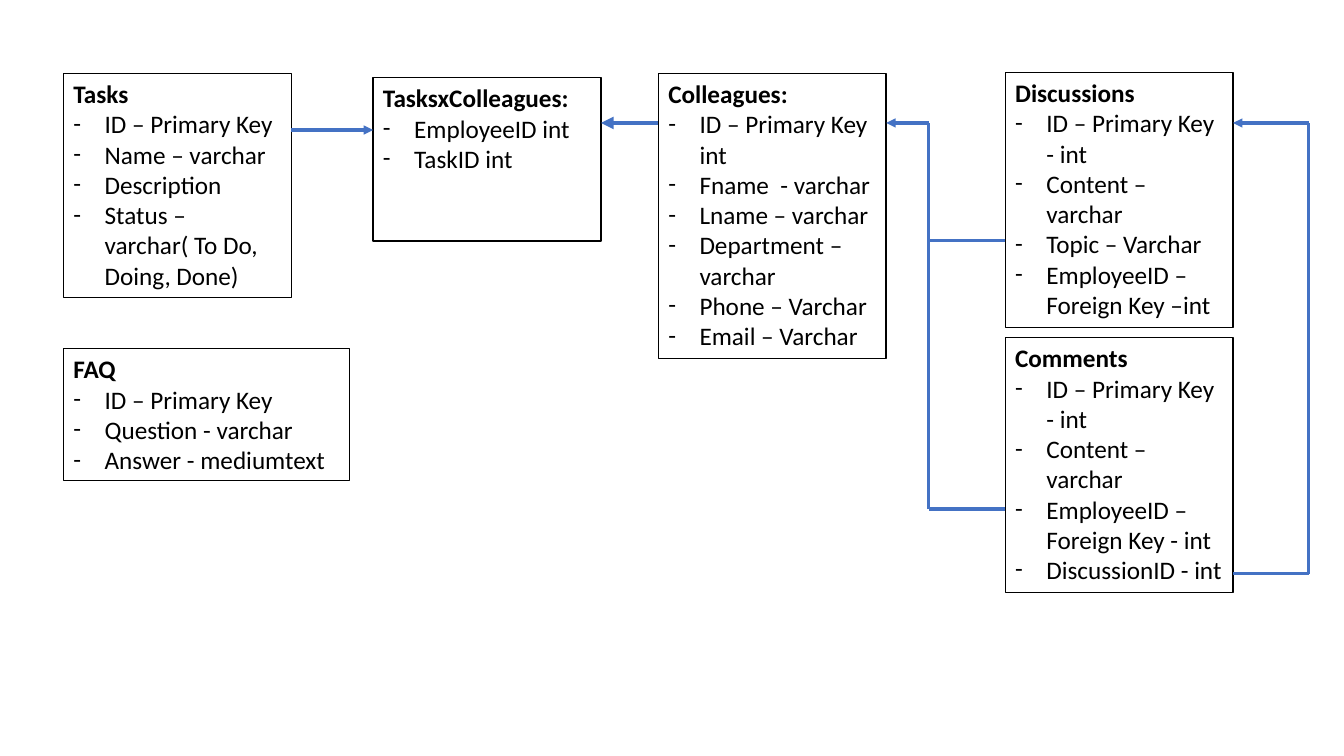
"""Build a slide with a database schema: table boxes joined by reference arrows."""
from itertools import pairwise

from lxml.etree import SubElement
from pptx import Presentation
from pptx.dml.color import RGBColor
from pptx.enum.shapes import MSO_CONNECTOR, MSO_SHAPE
from pptx.enum.text import MSO_ANCHOR, PP_ALIGN
from pptx.oxml.ns import qn
from pptx.util import Inches, Pt

BLACK, WHITE, BLUE = "000000", "FFFFFF", "4472C4"
FONT, TEXT_SIZE, INDENT = "Calibri", 18, 0.31
BOX_WIDTH = 2.26
TASKS, LINK, COLLEAGUES, DISCUSSIONS = 0.63, 3.7, 6.53, 9.97
TRUNK, OUTER = 9.21, 12.98
KEY_ROW, BRANCH_ROW = 1.22, 2.39

TABLES = [
    ("Tasks", (TASKS, 0.73, BOX_WIDTH, 2.22),
     ["ID – Primary Key", "Name – varchar", "Description",
      "Status – varchar( To Do, Doing, Done)"]),
    ("Colleagues:", (COLLEAGUES, 0.73, BOX_WIDTH, 2.83),
     ["ID – Primary Key int", "Fname  - varchar", "Lname – varchar",
      "Department – varchar", "Phone – Varchar", "Email – Varchar"]),
    ("TasksxColleagues:", (LINK, 0.77, BOX_WIDTH, 1.62),
     ["EmployeeID int", "TaskID int"]),
    ("Discussions", (DISCUSSIONS, 0.72, BOX_WIDTH, 2.53),
     ["ID – Primary Key - int", "Content – varchar", "Topic – Varchar",
      "EmployeeID – Foreign Key –int"]),
    ("Comments", (DISCUSSIONS, 3.35, BOX_WIDTH, 2.53),
     ["ID – Primary Key - int", "Content – varchar",
      "EmployeeID – Foreign Key - int", "DiscussionID - int"]),
    ("FAQ", (TASKS, 3.46, 2.84, 1.31),
     ["ID – Primary Key", "Question - varchar", "Answer - mediumtext"]),
]

ROUTES = [
    (3, True, [(COLLEAGUES, KEY_ROW), (LINK + BOX_WIDTH, KEY_ROW)]),
    (2.25, True, [(TASKS + BOX_WIDTH, 1.29), (LINK, 1.29)]),
    (2.25, True, [(DISCUSSIONS, BRANCH_ROW), (TRUNK, BRANCH_ROW),
                  (TRUNK, KEY_ROW), (COLLEAGUES + BOX_WIDTH, KEY_ROW)]),
    (2.25, False, [(DISCUSSIONS, 5.05), (TRUNK, 5.05), (TRUNK, BRANCH_ROW)]),
    (2.25, True, [(DISCUSSIONS + BOX_WIDTH, 5.69), (OUTER, 5.69),
                  (OUTER, KEY_ROW), (DISCUSSIONS + BOX_WIDTH, KEY_ROW)]),
]


def color(value):
    return RGBColor.from_string(value)


def add_dash(para):
    properties = para._p.get_or_add_pPr()
    properties.set("marL", str(Inches(INDENT)))
    properties.set("indent", str(-Inches(INDENT)))
    SubElement(properties, qn("a:buFont"), typeface=FONT)
    SubElement(properties, qn("a:buChar"), char="-")


def add_table_box(slide, name, place, fields):
    box = slide.shapes.add_shape(MSO_SHAPE.RECTANGLE, *map(Inches, place))
    box.shadow.inherit = False
    box.fill.solid()
    box.fill.fore_color.rgb = color(WHITE)
    box.line.color.rgb = color(BLACK)
    box.line.width = Pt(1)
    frame = box.text_frame
    frame.word_wrap = True
    frame.vertical_anchor = MSO_ANCHOR.TOP
    frame.text = "\n".join([name, *fields])
    for index, para in enumerate(frame.paragraphs):
        para.alignment = PP_ALIGN.LEFT
        if index:
            add_dash(para)
        for span in para.runs:
            span.font.name = FONT
            span.font.size = Pt(TEXT_SIZE)
            span.font.bold = index == 0
            span.font.color.rgb = color(BLACK)


def add_route(slide, width, arrow, points):
    for start, end in pairwise(points):
        line = slide.shapes.add_connector(
            MSO_CONNECTOR.STRAIGHT, *map(Inches, start + end))
        line.line.color.rgb = color(BLUE)
        line.line.width = Pt(width)
        if arrow and end == points[-1]:
            SubElement(line.line._get_or_add_ln(), qn("a:tailEnd"), type="triangle")
        SubElement(line._element.spPr, qn("a:effectLst"))


deck = Presentation()
deck.slide_width, deck.slide_height = Inches(13.33), Inches(7.5)
page = deck.slides.add_slide(deck.slide_layouts[6])
for table in TABLES:
    add_table_box(page, *table)
for route in ROUTES:
    add_route(page, *route)
deck.save("out.pptx")
